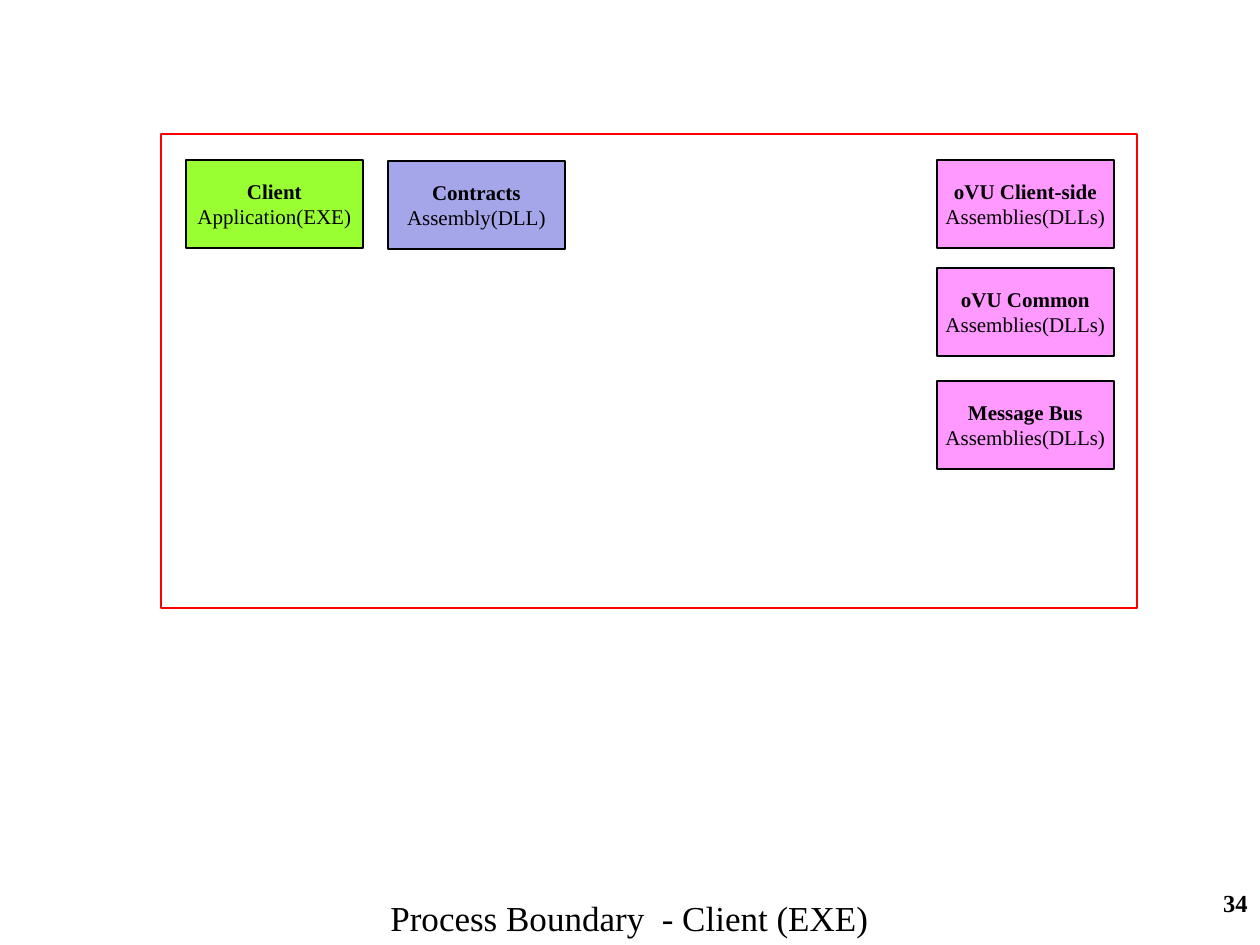
from pptx import Presentation
from pptx.dml.color import RGBColor
from pptx.enum.shapes import MSO_SHAPE
from pptx.enum.text import MSO_ANCHOR, PP_ALIGN
from pptx.util import Emu, Pt

PX = 914400 // 126
BLACK = RGBColor(0x00, 0x00, 0x00)
RED = RGBColor(0xFF, 0x00, 0x00)
GREEN = RGBColor(0x99, 0xFF, 0x33)
PINK = RGBColor(0xFF, 0x99, 0xFF)
LAVENDER = RGBColor(0xA5, 0xA5, 0xE9)
FONT = "Times New Roman"
BOX_W, BOX_H = 177, 88
LEFT_COL, MIDDLE_COL, RIGHT_COL = 186, 388, 937


def add_rect(x, y, w, h, line_color, line_width, fill=None):
    """Add an outlined rectangle, placed in pixels, with an optional fill."""
    sp = s.shapes.add_shape(MSO_SHAPE.RECTANGLE, *[Emu(v * PX) for v in (x, y, w, h)])
    sp.shadow.inherit = False
    sp.line.color.rgb = line_color
    sp.line.width = Pt(line_width)
    if fill is None:
        sp.fill.background()
    else:
        sp.fill.solid()
        sp.fill.fore_color.rgb = fill
    return sp


def add_run(p, text, size, bold):
    """Add a black run to a paragraph."""
    r = p.add_run()
    r.text = text
    for name, value in {"name": FONT, "size": Pt(size), "bold": bold}.items():
        setattr(r.font, name, value)
    r.font.color.rgb = BLACK


prs = Presentation()
prs.slide_width, prs.slide_height = Emu(1260 * PX), Emu(945 * PX)
s = prs.slides.add_slide(prs.slide_layouts[6])

labels = [
    ("34", (998, 882, 262, 63), PP_ALIGN.RIGHT, 14, True),
    ("Process Boundary  - Client (EXE)", (333, 890, 593, 55), PP_ALIGN.CENTER, 20, False),
]
for text, place, align, size, bold in labels:
    tf = s.shapes.add_textbox(*[Emu(v * PX) for v in place]).text_frame
    tf.word_wrap = True
    p = tf.paragraphs[0]
    p.alignment = align
    add_run(p, text, size, bold)

add_rect(161, 134, 976, 474, RED, 1.5)

components = [
    ("Client", "Application(EXE)", LEFT_COL, 160, GREEN),
    ("oVU Client-side", "Assemblies(DLLs)", RIGHT_COL, 160, PINK),
    ("oVU Common", "Assemblies(DLLs)", RIGHT_COL, 268, PINK),
    ("Contracts", "Assembly(DLL)", MIDDLE_COL, 161, LAVENDER),
    ("Message Bus", "Assemblies(DLLs)", RIGHT_COL, 381, PINK),
]
for title, kind, x, y, fill in components:
    tf = add_rect(x, y, BOX_W, BOX_H, BLACK, 0.75, fill).text_frame
    tf.word_wrap = False
    tf.vertical_anchor = MSO_ANCHOR.MIDDLE
    p = tf.paragraphs[0]
    p.alignment = PP_ALIGN.CENTER
    add_run(p, title, 12, True)
    p.add_line_break()
    add_run(p, kind, 12, False)

prs.save("out.pptx")
